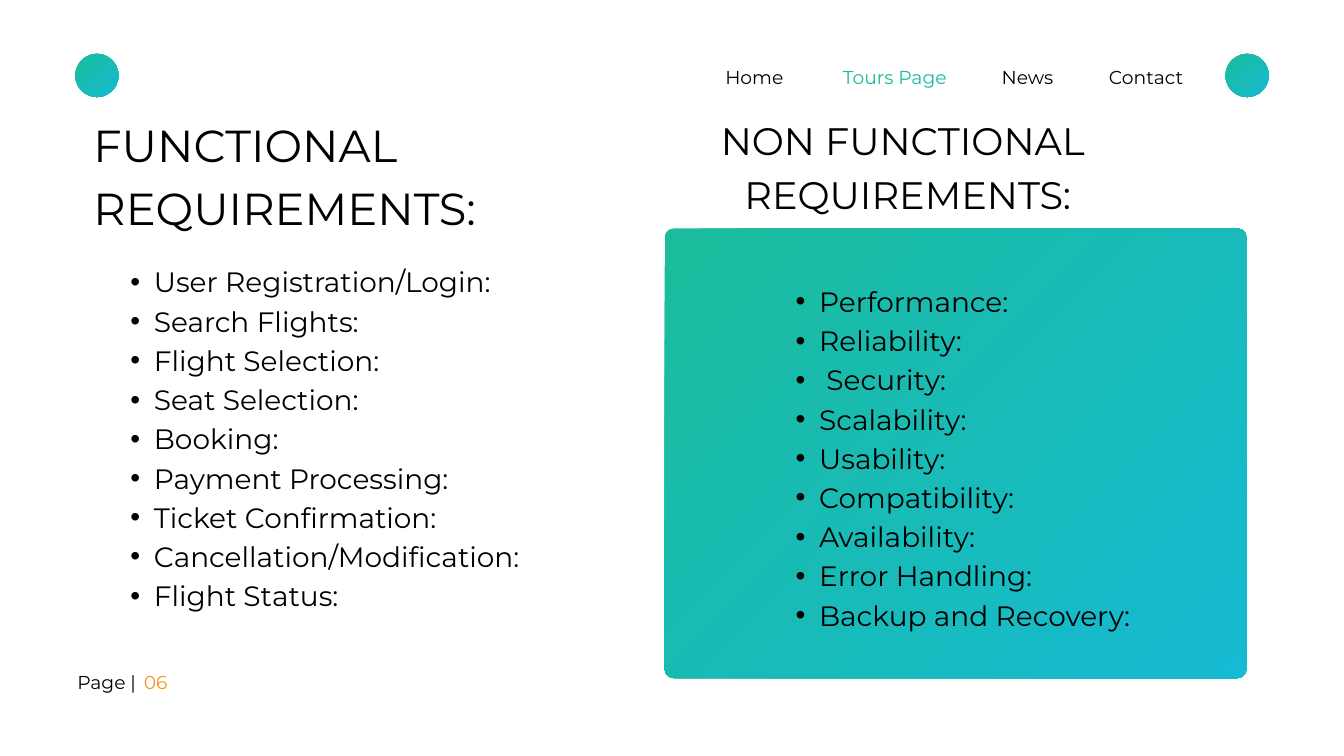
"""Build the flight booking requirements slide, with places as percent shares of the slide."""
import pptx
import pptx.dml.color
import pptx.enum.shapes
import pptx.enum.text
import pptx.oxml.ns
import pptx.util
from lxml import etree

WIDTH, HEIGHT = 20, 11.25
FONT = "Montserrat"
BLACK, GREEN, BLUE, ORANGE = "000000", "1BBC9B", "15BAD3", "F4931E"
LEFT, CENTER = pptx.enum.text.PP_ALIGN.LEFT, pptx.enum.text.PP_ALIGN.CENTER
OVAL = pptx.enum.shapes.MSO_SHAPE.OVAL
ROUNDED = pptx.enum.shapes.MSO_SHAPE.ROUNDED_RECTANGLE
LINE_FACTOR = 1.4
SMALL, BODY = 20, 30

TITLE = "FUNCTIONAL REQUIREMENTS:"
SECOND_HEADING = ["NON FUNCTIONAL ", "REQUIREMENTS:"]
FUNCTIONAL = [
    "User Registration/Login:", "Search Flights:", "Flight Selection:",
    "Seat Selection:", "Booking:", "Payment Processing:",
    "Ticket Confirmation:", "Cancellation/Modification:", "Flight Status:",
]
NON_FUNCTIONAL = [
    "Performance:", "Reliability:", " Security:", "Scalability:", "Usability:",
    "Compatibility:", "Availability:", "Error Handling:", "Backup and Recovery:",
]
MENU = [
    ("Home", 52.65, 6.95, BLACK),
    ("Tours Page", 61.5, 10.15, GREEN),
    ("News", 73.5, 5.9, BLACK),
    ("Contact", 81.3, 7.95, BLACK),
]
FOOTER = [("Page |", 5.75, 4.9, BLACK), ("06", 10.7, 2.85, ORANGE)]
MENU_TOP, FOOTER_TOP, LABEL_HEIGHT = 8.18, 88.18, 3.29
DOT_MARGIN, DOT_TOP, DOT_WIDTH, DOT_HEIGHT = 5.6, 7.11, 3.22, 5.73
PANEL = (49.45, 30.22, 43.3, 59.47)


def color(code):
    return pptx.dml.color.RGBColor.from_string(code)


def area(left, top, width, height):
    across, down = WIDTH / 100, HEIGHT / 100
    return [pptx.util.Inches(value) for value in
            (left * across, top * down, width * across, height * down)]


def add_gradient(page, kind, place):
    shape = page.shapes.add_shape(kind, *area(*place))
    shape.shadow.inherit = False
    shape.line.fill.background()
    shape.fill.gradient()
    shape.fill.gradient_angle = 315
    for stop, code in zip(shape.fill.gradient_stops, (GREEN, BLUE)):
        stop.color.rgb = color(code)
    return shape


def add_bullet(para):
    para.level = 1
    properties = para._p.get_or_add_pPr()
    properties.set("marL", str(pptx.util.Inches(0.71)))
    properties.set("indent", str(pptx.util.Inches(-0.35)))
    bullet_font = etree.SubElement(properties, pptx.oxml.ns.qn("a:buFont"))
    bullet_font.set("typeface", "Arial")
    etree.SubElement(properties, pptx.oxml.ns.qn("a:buChar")).set("char", "•")


def write(box, place, lines, size, code=BLACK, align=LEFT, bullets=False):
    box.left, box.top, box.width, box.height = area(*place)
    frame = box.text_frame
    frame.margin_left = frame.margin_right = frame.margin_top = frame.margin_bottom = 0
    frame.word_wrap = True
    frame.auto_size = pptx.enum.text.MSO_AUTO_SIZE.NONE
    frame.vertical_anchor = pptx.enum.text.MSO_ANCHOR.TOP
    frame.text = "\n".join(lines)
    for para in frame.paragraphs:
        para.alignment = align
        para.space_before = pptx.util.Pt(0)
        para.line_spacing = pptx.util.Pt(size * LINE_FACTOR)
        if bullets:
            add_bullet(para)
        for span in para.runs:
            span.font.name = FONT
            span.font.size = pptx.util.Pt(size)
            span.font.color.rgb = color(code)


def add_text(page, place, lines, size, **style):
    write(page.shapes.add_textbox(*area(*place)), place, lines, size, **style)


def main():
    deck = pptx.Presentation()
    deck.slide_width = pptx.util.Inches(WIDTH)
    deck.slide_height = pptx.util.Inches(HEIGHT)
    page = deck.slides.add_slide(deck.slide_layouts[5])

    for left in (DOT_MARGIN, 100 - DOT_MARGIN - DOT_WIDTH):
        add_gradient(page, OVAL, (left, DOT_TOP, DOT_WIDTH, DOT_HEIGHT))
    panel = add_gradient(page, ROUNDED, PANEL)
    panel.adjustments[0] = 0.02

    write(page.shapes.title, (6.95, 14.4, 35.55, 16.18), [TITLE], 48)
    add_text(page, (40.75, 14.49, 53.6, 13.87), SECOND_HEADING, 41, align=CENTER)
    add_text(page, (7.9, 34.31, 33.6, 50.76), FUNCTIONAL, BODY, bullets=True)
    add_text(page, (57.4, 36.89, 27.4, 45.69), NON_FUNCTIONAL, BODY, bullets=True)

    for labels, top, align in ((MENU, MENU_TOP, CENTER), (FOOTER, FOOTER_TOP, LEFT)):
        for label, left, width, code in labels:
            add_text(page, (left, top, width, LABEL_HEIGHT), [label], SMALL,
                     code=code, align=align)

    deck.save("out.pptx")


if __name__ == "__main__":
    main()
